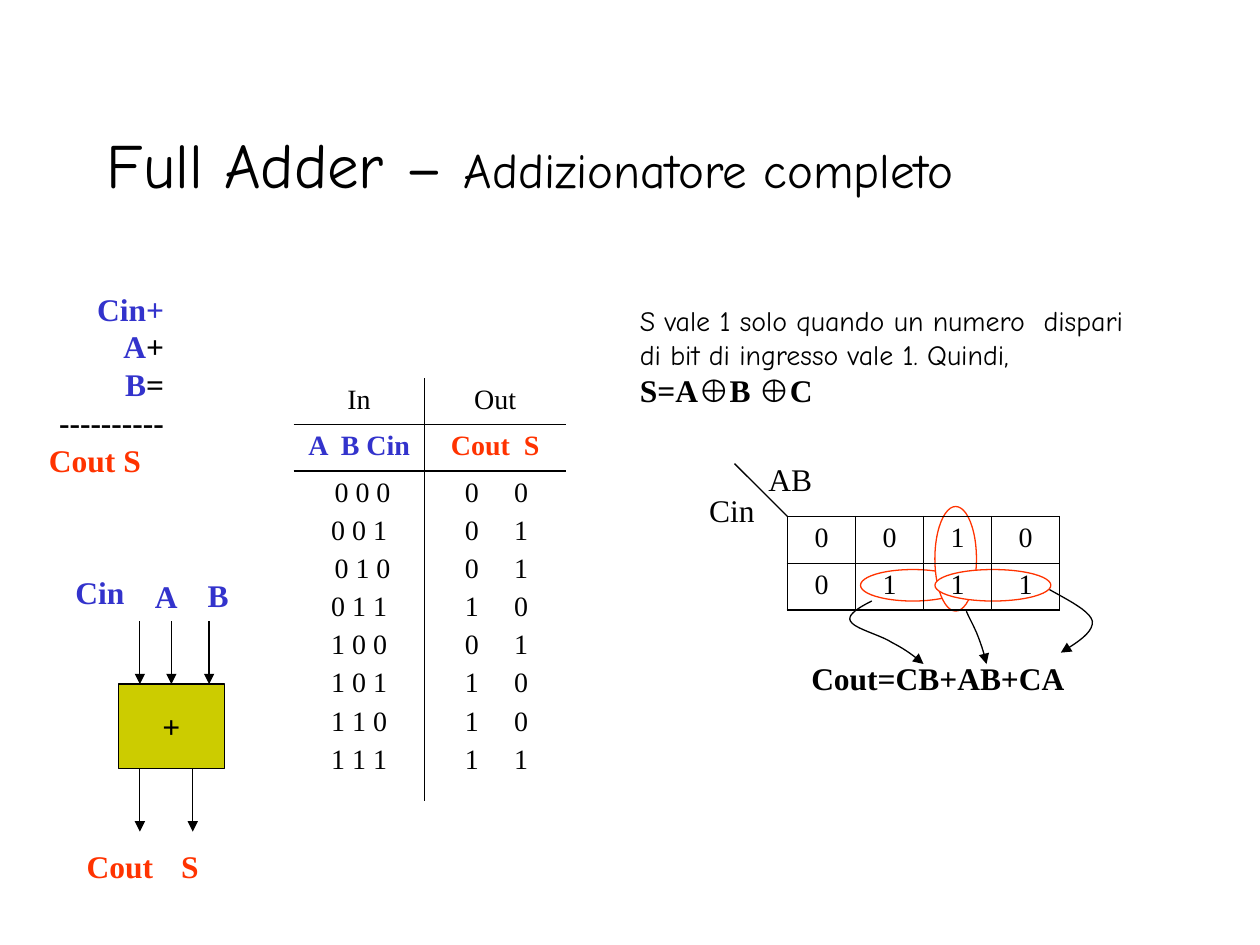
"""Build the full adder slide: block diagram, truth table and Karnaugh map."""
from lxml.etree import SubElement
from pptx import Presentation
from pptx.dml.color import RGBColor
from pptx.enum.shapes import MSO_CONNECTOR as CONNECTOR, MSO_SHAPE as SHAPE
from pptx.enum.text import MSO_ANCHOR as ANCHOR, MSO_AUTO_SIZE as AUTO_SIZE, PP_ALIGN as ALIGN
from pptx.oxml.ns import qn
from pptx.util import Inches, Pt

BLACK = RGBColor(0x00, 0x00, 0x00)
WHITE = RGBColor(0xFF, 0xFF, 0xFF)
BLUE = RGBColor(0x33, 0x33, 0xCC)
RED = RGBColor(0xFF, 0x33, 0x00)
OLIVE = RGBColor(0xCC, 0xCC, 0x00)
SERIF = "Times New Roman"
COMIC = "Comic Neue"


def write(frame, lines, color=BLACK, size=18, bold=False, name=SERIF, align=ALIGN.LEFT):
    for index, line in enumerate(lines):
        paragraph = frame.paragraphs[0] if index == 0 else frame.add_paragraph()
        paragraph.alignment = align
        paragraph.font.size = Pt(size)
        paragraph.font.bold = bold
        paragraph.font.name = name
        paragraph.font.color.rgb = color
        for text, changes in [(line, {})] if isinstance(line, str) else line:
            run = paragraph.add_run()
            run.text = text
            if "color" in changes:
                run.font.color.rgb = changes["color"]
            if "size" in changes:
                run.font.size = Pt(changes["size"])
            if "name" in changes:
                run.font.name = changes["name"]


def draw_line(shape, color=BLACK, arrow=False):
    shape.line.color.rgb = color
    shape.line.width = Pt(0.75)
    properties = shape._element.spPr
    if arrow:
        SubElement(properties.find(qn("a:ln")), qn("a:tailEnd"), type="triangle")
    SubElement(properties, qn("a:effectLst"))


presentation = Presentation()
presentation.slide_width = Inches(10)
presentation.slide_height = Inches(7.5)
slide = presentation.slides.add_slide(presentation.slide_layouts[6])
shapes = slide.shapes

for left, top, width, height in [
    (6.83, 4.52, 0.83, 0.25),
    (7.42, 4.02, 0.33, 0.83),
    (7.42, 4.52, 0.92, 0.25),
]:
    group_loop = shapes.add_shape(SHAPE.OVAL, Inches(left), Inches(top), Inches(width), Inches(height))
    group_loop.fill.solid()
    group_loop.fill.fore_color.rgb = WHITE
    draw_line(group_loop, RED)

title = shapes.add_textbox(Inches(0.75), Inches(0.67), Inches(8.75), Inches(1.25)).text_frame
title.word_wrap = True
title.vertical_anchor = ANCHOR.MIDDLE
write(title, [[("Full Adder – ", {}), ("Addizionatore completo", {"size": 28})]], size=36, name=COMIC)

adder = shapes.add_shape(SHAPE.RECTANGLE, Inches(0.94), Inches(5.43), Inches(0.84), Inches(0.67))
adder.fill.solid()
adder.fill.fore_color.rgb = OLIVE
draw_line(adder)
adder.text_frame.word_wrap = False
adder.text_frame.vertical_anchor = ANCHOR.MIDDLE
write(adder.text_frame, ["+"], bold=True, align=ALIGN.CENTER)

for x, top in [(1.11, 4.93), (1.36, 4.93), (1.66, 4.93), (1.11, 6.1), (1.53, 6.1)]:
    signal = shapes.add_connector(CONNECTOR.STRAIGHT, Inches(x), Inches(top), Inches(x), Inches(top + 0.5))
    if x == 1.36:
        signal.end_connect(adder, 0)
    draw_line(signal, arrow=True)

for text, left, top, width, color, bold in [
    ("Cin", 0.5, 4.5, 0.59, BLUE, True),
    ("A", 1.13, 4.53, 0.38, BLUE, True),
    ("B", 1.55, 4.52, 0.36, BLUE, True),
    ("Cout", 0.59, 6.67, 0.73, RED, True),
    ("S", 1.34, 6.67, 0.34, RED, True),
    ("AB", 6, 3.6, 0.6, BLACK, False),
    ("Cin", 5.53, 3.85, 0.56, BLACK, False),
    ("Cout=CB+AB+CA", 6.34, 5.18, 2.21, BLACK, True),
]:
    label = shapes.add_textbox(Inches(left), Inches(top), Inches(width), Inches(0.4)).text_frame
    label.word_wrap = False
    label.auto_size = AUTO_SIZE.SHAPE_TO_FIT_TEXT
    write(label, [text], color, bold=bold)

addition = shapes.add_textbox(Inches(0.29), Inches(2.25), Inches(1.11), Inches(1.6)).text_frame
addition.word_wrap = True
write(addition, [
    [("Cin+", {"color": BLUE})],
    [("A", {"color": BLUE}), ("+", {})],
    [("B", {"color": BLUE}), ("=", {})],
    "----------",
    [("Cout S", {"color": RED})],
], bold=True, align=ALIGN.RIGHT)
addition.paragraphs[-1].alignment = ALIGN.LEFT

parity = shapes.add_textbox(Inches(4.98), Inches(2.36), Inches(4.12), Inches(0.94)).text_frame
parity.word_wrap = False
parity.auto_size = AUTO_SIZE.SHAPE_TO_FIT_TEXT
xor = ("⊕", {"name": "Arial"})
write(parity, [
    "S vale 1 solo quando un numero  dispari",
    "di bit di ingresso vale 1. Quindi,",
    [("S=A", {}), xor, ("B ", {}), xor, ("C", {})],
], bold=True)
for paragraph in parity.paragraphs[:2]:
    paragraph.font.name = COMIC
    paragraph.font.size = Pt(16)
    paragraph.font.bold = False

inputs = [" 0 0 0", "0 0 1", " 0 1 0", "0 1 1", "1 0 0", "1 0 1", "1 1 0", "1 1 1"]
outputs = ["0\t0", "0\t1", "0\t1", "1\t0", "0\t1", "1\t0", "1\t0", "1\t1"]
truth_rows = [[["In"], ["Out"]], [["A  B Cin"], ["Cout  S"]], [inputs, outputs]]
map_rows = [[[digit] for digit in row] for row in ("0010", "0111")]

for left, top, widths, heights, rows, outer, inner in [
    (2.33, 3, [1.04, 1.12], [0.37, 0.37, 2.62], truth_rows, 0, 1.08),
    (6.25, 4.1, [0.54] * 4, [0.37, 0.37], map_rows, 1.08, 0.45),
]:
    table = shapes.add_table(
        len(heights), len(widths), Inches(left), Inches(top), Inches(sum(widths)), Inches(sum(heights))
    ).table
    table.first_row = False
    table.horz_banding = False
    for column, width in zip(table.columns, widths):
        column.width = Inches(width)
    for row, height in zip(table.rows, heights):
        row.height = Inches(height)
    for r, row in enumerate(rows):
        for c, lines in enumerate(row):
            cell = table.cell(r, c)
            properties = cell._tc.get_or_add_tcPr()
            edges = {"L": c == 0, "R": c == len(widths) - 1, "T": r == 0, "B": r == len(heights) - 1}
            for side, is_outer in edges.items():
                weight = outer if is_outer else inner
                border = SubElement(properties, qn(f"a:ln{side}"), w=str(Pt(weight)))
                if weight:
                    SubElement(SubElement(border, qn("a:solidFill")), qn("a:srgbClr"), val=str(BLACK))
                else:
                    SubElement(border, qn("a:noFill"))
            cell.fill.background()
            is_header = rows is truth_rows and r == 1
            color = (BLUE, RED)[c] if is_header else BLACK
            write(cell.text_frame, lines, color, 16, is_header, align=ALIGN.CENTER)
            for paragraph in cell.text_frame.paragraphs[1:]:
                paragraph.space_before = Pt(4)
            if lines is outputs:
                cell.margin_left = Inches(0.32)
                for paragraph in cell.text_frame.paragraphs:
                    paragraph.alignment = ALIGN.LEFT
                    tabs = paragraph._p.get_or_add_pPr().makeelement(qn("a:tabLst"))
                    SubElement(tabs, qn("a:tab"), pos=str(Inches(0.39)), algn="l")
                    paragraph._p.pPr.find(qn("a:defRPr")).addprevious(tabs)

diagonal = shapes.add_connector(CONNECTOR.STRAIGHT, Inches(5.83), Inches(3.68), Inches(6.25), Inches(4.1))
draw_line(diagonal)

STEPS = 10
for points in [
    [(6.92, 4.77), (6.82, 4.82), (6.72, 4.88), (6.75, 4.93), (6.78, 4.99), (6.99, 5.04), (7.08, 5.1),
     (7.18, 5.15), (7.26, 5.21), (7.33, 5.27)],
    [(7.67, 4.85), (7.69, 4.9), (7.72, 4.95), (7.75, 5.02), (7.78, 5.09), (7.81, 5.18), (7.83, 5.27)],
    [(8.33, 4.68), (8.49, 4.77), (8.65, 4.85), (8.67, 4.93), (8.68, 5.02), (8.55, 5.1), (8.42, 5.18)],
]:
    vertices = []
    for start in range(0, len(points) - 1, 3):
        for step in range(1, STEPS + 1):
            t = step / STEPS
            weights = ((1 - t) ** 3, 3 * t * (1 - t) ** 2, 3 * t * t * (1 - t), t ** 3)
            control = zip(*points[start:start + 4])
            vertices.append([Inches(sum(w * p for w, p in zip(weights, axis))) for axis in control])
    builder = shapes.build_freeform(Inches(points[0][0]), Inches(points[0][1]))
    builder.add_line_segments(vertices, close=False)
    term_arrow = builder.convert_to_shape()
    term_arrow.fill.background()
    draw_line(term_arrow, arrow=True)

presentation.save("out.pptx")
